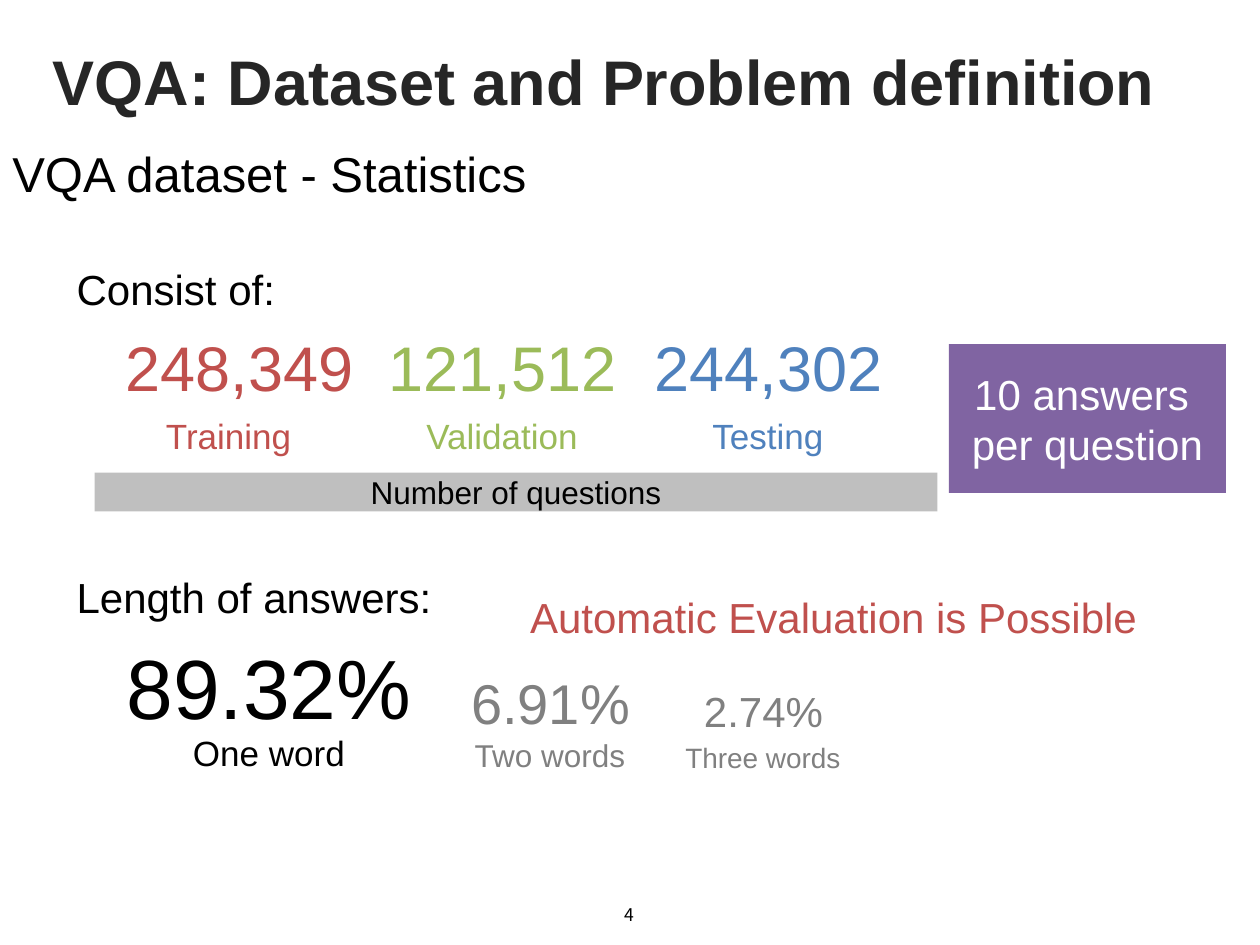
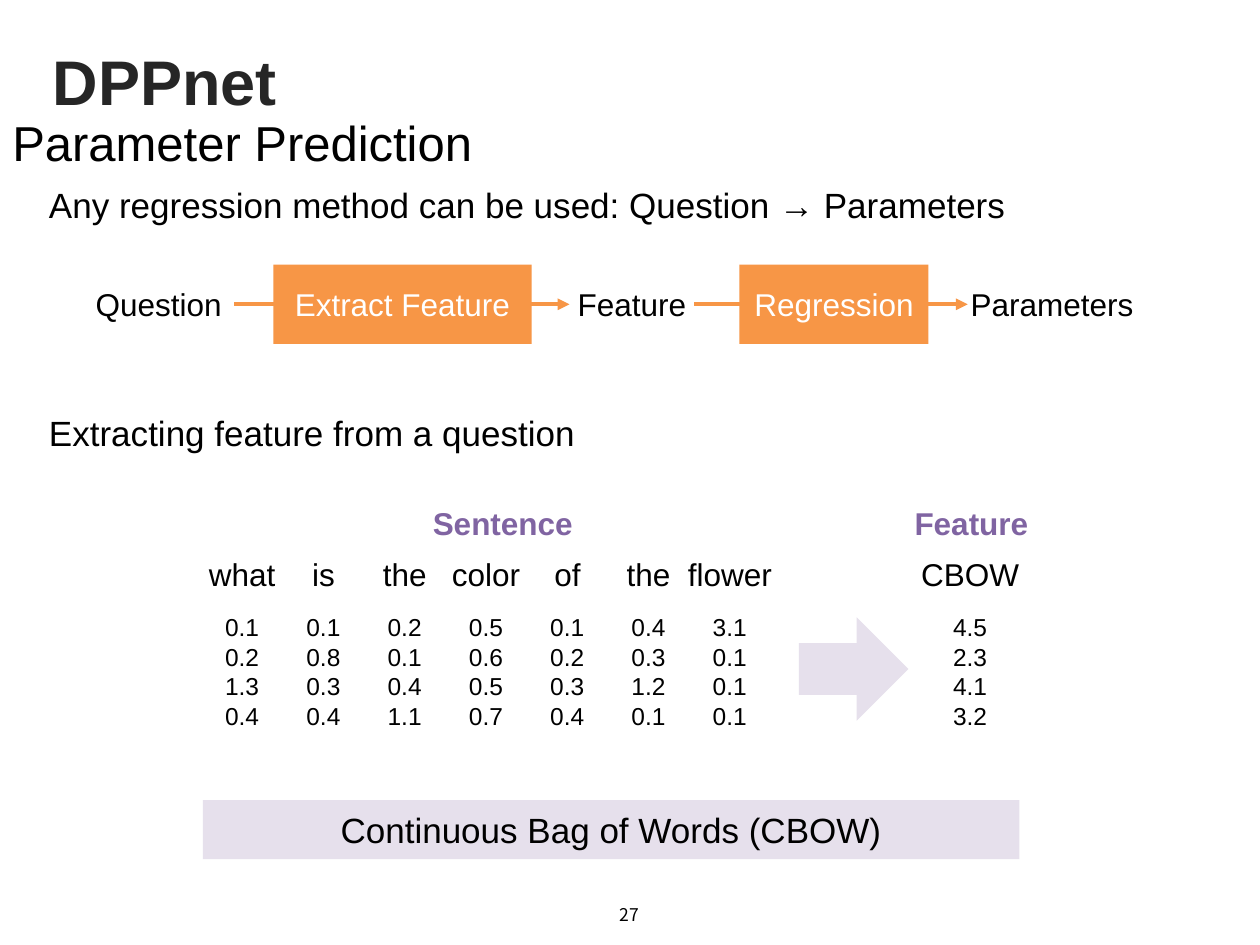
from dataclasses import dataclass

from lxml import etree
from pptx import Presentation
from pptx import util as u
from pptx.dml.color import RGBColor
from pptx.enum import shapes, text
from pptx.oxml.ns import qn

Pt = u.Pt
LEFT, CENTER = text.PP_ALIGN.LEFT, text.PP_ALIGN.CENTER
MIDDLE, BOTTOM, TOP = text.MSO_ANCHOR.MIDDLE, text.MSO_ANCHOR.BOTTOM, text.MSO_ANCHOR.TOP


@dataclass(frozen=True)
class Theme:
    font: str = "Arial"
    number_font: str = "Noto Sans CJK KR"
    ink: str = "000000"
    heading: str = "262626"
    white: str = "FFFFFF"
    muted: str = "808080"
    band: str = "BFBFBF"
    red: str = "C0504D"
    green: str = "9BBB59"
    blue: str = "4F81BD"
    purple: str = "8064A2"
    lilac: str = "E6E0EC"
    orange: str = "F79646"
    page: int = 10
    vector: int = 14
    small: int = 16
    label: int = 18
    body: int = 20
    section: int = 24
    subtitle: int = 28
    medium: int = 32
    title: int = 36
    hero: int = 48


THEME = Theme()


def write(frame, content, size=THEME.label, color=THEME.ink, bold=False,
          font=THEME.font, align=CENTER, anchor=MIDDLE, inset=True, wrap=True):
    frame.word_wrap = wrap
    frame.auto_size = text.MSO_AUTO_SIZE.NONE
    frame.vertical_anchor = anchor
    frame.margin_left = frame.margin_right = Pt(7.2 if inset else 0)
    frame.margin_top = frame.margin_bottom = Pt(3.6 if inset else 0)
    for index, line in enumerate(content.split("\n")):
        paragraph = frame.add_paragraph() if index else frame.paragraphs[0]
        paragraph.alignment = align
        run = paragraph.add_run()
        run.text = line
        run.font.size = Pt(size)
        run.font.name = font
        run.font.bold = bold
        run.font.color.rgb = RGBColor.from_string(color)


def add_label(slide, box, content, **style):
    label = slide.shapes.add_textbox(*map(Pt, box))
    write(label.text_frame, content, **style)


def add_block(slide, box, fill, content="", kind=shapes.MSO_SHAPE.RECTANGLE, **style):
    block = slide.shapes.add_shape(kind, *map(Pt, box))
    block.shadow.inherit = False
    block.fill.solid()
    block.fill.fore_color.rgb = RGBColor.from_string(fill)
    block.line.fill.background()
    if content:
        write(block.text_frame, content, **style)


def add_arrow(slide, start, end, y):
    arrow = slide.shapes.add_connector(
        shapes.MSO_CONNECTOR.STRAIGHT, Pt(start), Pt(y), Pt(end), Pt(y))
    arrow.line.width = Pt(2.25)
    arrow.line.color.rgb = RGBColor.from_string(THEME.orange)
    etree.SubElement(arrow.line._get_or_add_ln(), qn("a:tailEnd"), type="triangle")
    etree.SubElement(arrow._element.spPr, qn("a:effectLst"))


def start_slide(deck, heading, subtitle, subtitle_top, page):
    slide = deck.slides.add_slide(deck.slide_layouts[5])
    title = slide.shapes.title
    title.left, title.top, title.width, title.height = map(Pt, (23, 20.2, 675.4, 51.8))
    write(title.text_frame, heading, size=THEME.title, color=THEME.heading,
          bold=True, align=LEFT)
    add_label(slide, (275.8, 508.3, 167.8, 28.8), page,
              size=THEME.page, font=THEME.number_font)
    add_label(slide, (0, subtitle_top, 720, 47.5), subtitle,
              size=THEME.subtitle, align=LEFT)
    return slide


def build_statistics(deck):
    slide = start_slide(deck, "VQA: Dataset and Problem definition",
                        "VQA dataset - Statistics", 74.9, "4")
    for top, section in ((145.4, "Consist of:"), (321.1, "Length of answers:")):
        add_label(slide, (36.7, top, 487.4, 39.6), section,
                  size=THEME.section, align=LEFT)

    splits = (
        ("248,349", 68.4, "Training", 74.2, THEME.red),
        ("121,512", 218.9, "Validation", 230.4, THEME.green),
        ("244,302", 370.8, "Testing", 382.3, THEME.blue),
    )
    for count, count_left, split, split_left, color in splits:
        add_label(slide, (count_left, 177.8, 136.8, 53.3), count,
                  size=THEME.title, color=color, anchor=BOTTOM, inset=False)
        add_label(slide, (split_left, 234.7, 113, 28.1), split,
                  size=THEME.body, color=color)
    add_block(slide, (54, 270, 481.7, 22.3), THEME.band, "Number of questions")
    add_block(slide, (542.2, 196.6, 158.4, 85), THEME.purple,
              "10 answers \nper question", size=THEME.section, color=THEME.white)

    share_bottom = 424.1
    lengths = (
        ("89.32%", (64.8, 177.8, 63.4), THEME.hero,
         "One word", (97.2, 113), THEME.body, THEME.ink),
        ("6.91%", (262.1, 105.1, 41.8), THEME.medium,
         "Two words", (257.8, 113), THEME.label, THEME.muted),
        ("2.74%", (393.1, 86.4, 36), THEME.section,
         "Three words", (370.1, 131.8), THEME.small, THEME.muted),
    )
    for share, (left, width, height), share_size, words, span, words_size, color in lengths:
        add_label(slide, (left, share_bottom - height, width, height), share,
                  size=share_size, color=color, anchor=BOTTOM)
        add_label(slide, (span[0], 417.6, span[1], 28.1), words,
                  size=words_size, color=color, anchor=BOTTOM)
    add_label(slide, (269.3, 332.6, 414, 39.6), "Automatic Evaluation is Possible",
              size=THEME.section, color=THEME.red)


def add_regression_flow(slide):
    top, height = 151.2, 45.4
    stages = (("Question", 47.5, 86.4), ("Feature", 325.4, 71.3),
              ("Parameters", 553, 96.5))
    steps = (("Extract Feature", 156.2, 147.6), ("Regression", 422.6, 108))
    for (_, left, width), (_, target, _) in zip(stages, stages[1:]):
        add_arrow(slide, left + width, target, top + height / 2)
    for stage, left, width in stages:
        add_label(slide, (left, top, width, height), stage, inset=False)
    for step, left, width in steps:
        add_block(slide, (left, top, width, height), THEME.orange, step,
                  color=THEME.white)


def add_word_vector(slide, center, word, width, values):
    add_label(slide, (center - width / 2, 313.9, width, 28.8), word,
              anchor=TOP, wrap=False)
    add_label(slide, (center - 9.7, 349.9, 19.4, 67.7), values.replace(" ", "\n"),
              size=THEME.vector, anchor=TOP, inset=False, wrap=False)


def build_prediction(deck):
    slide = start_slide(deck, "DPPnet", "Parameter Prediction", 57.6, "27")
    statements = (
        (100.1, "Any regression method can be used: Question → Parameters"),
        (230.4, "Extracting feature from a question"),
    )
    for top, statement in statements:
        add_label(slide, (20.9, top, 699.1, 33.8), statement,
                  size=THEME.body, align=LEFT)
    add_regression_flow(slide)

    for left, header in ((219.6, "Sentence"), (487.4, "Feature")):
        add_label(slide, (left, 290.2, 135.4, 17.3), header,
                  color=THEME.purple, bold=True)
    sentence = (
        ("what", 52.6, "0.1 0.2 1.3 0.4"),
        ("is", 27.4, "0.1 0.8 0.3 0.4"),
        ("the", 39.6, "0.2 0.1 0.4 1.1"),
        ("color", 54, "0.5 0.6 0.5 0.7"),
        ("of", 29.5, "0.1 0.2 0.3 0.4"),
        ("the", 39.6, "0.4 0.3 1.2 0.1"),
        ("flower", 63.4, "3.1 0.1 0.1 0.1"),
    )
    for index, (word, width, values) in enumerate(sentence):
        add_word_vector(slide, 138.4 + 46.45 * index, word, width, values)
    add_word_vector(slide, 554.4, "CBOW", 71.3, "4.5 2.3 4.1 3.2")
    add_block(slide, (456.5, 352.8, 62.6, 59), THEME.lilac,
              kind=shapes.MSO_SHAPE.RIGHT_ARROW)
    add_block(slide, (115.9, 457.2, 466.6, 33.8), THEME.lilac,
              "Continuous Bag of Words (CBOW)", size=THEME.body)


def main():
    deck = Presentation()
    deck.slide_width, deck.slide_height = Pt(720), Pt(540)
    build_statistics(deck)
    build_prediction(deck)
    deck.save("out.pptx")


if __name__ == "__main__":
    main()
